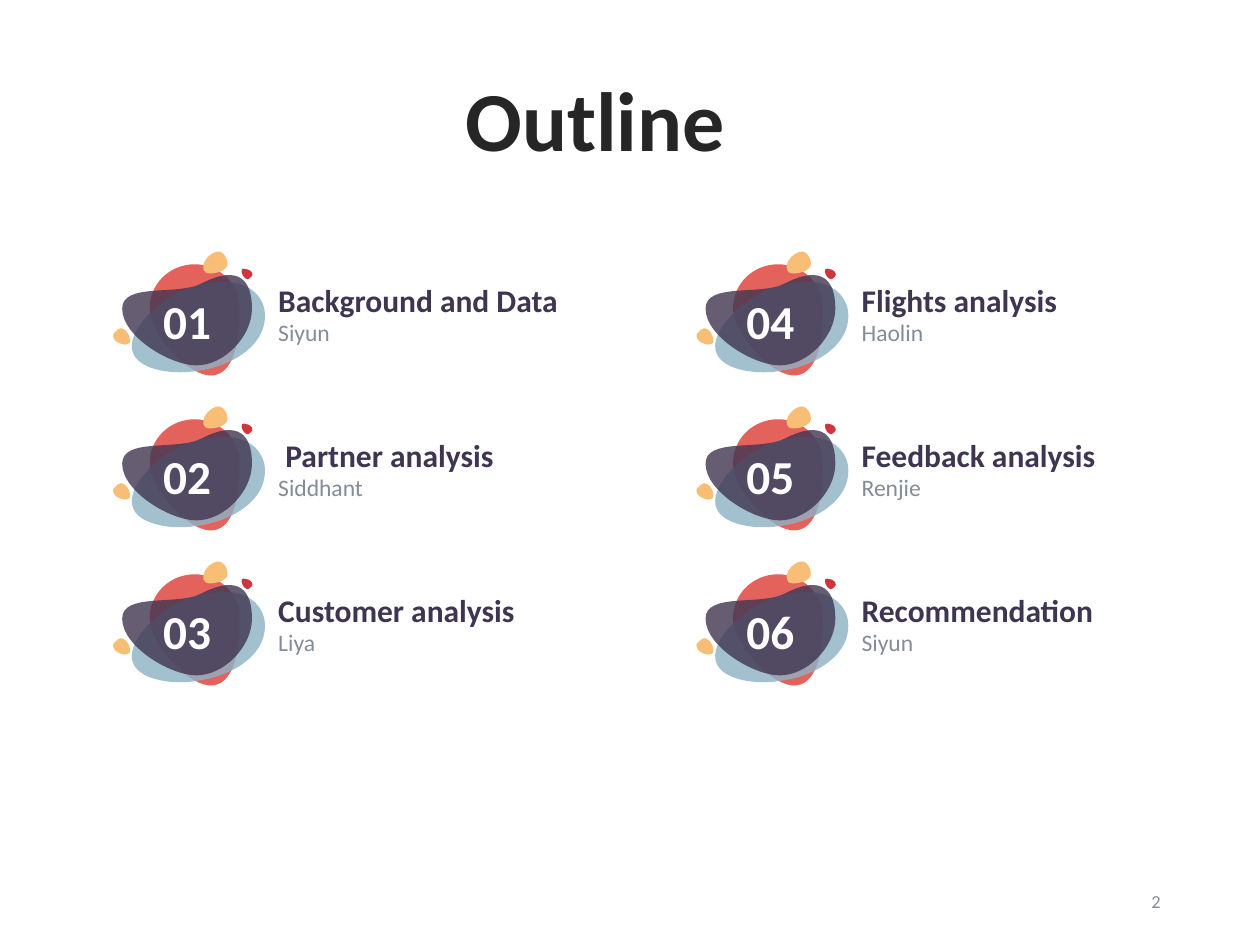
from dataclasses import dataclass

from lxml import etree
from pptx import Presentation
from pptx.dml.color import RGBColor
from pptx.enum.text import MSO_ANCHOR, MSO_AUTO_SIZE, PP_ALIGN
from pptx.oxml.ns import qn
from pptx.util import Inches, Pt

TOP, MIDDLE, BOTTOM = MSO_ANCHOR.TOP, MSO_ANCHOR.MIDDLE, MSO_ANCHOR.BOTTOM
LEFT, CENTER, RIGHT = PP_ALIGN.LEFT, PP_ALIGN.CENTER, PP_ALIGN.RIGHT
FIT_TEXT = MSO_AUTO_SIZE.SHAPE_TO_FIT_TEXT
TITLE_ONLY = 5


@dataclass(frozen=True)
class Theme:
    font: str = "Calibri"
    ink: str = "262626"
    plum: str = "403551"
    grey: str = "838C97"
    white: str = "FFFFFF"
    coral: str = "E4625C"
    blue: str = "8DB1C4"
    amber: str = "F9BE75"
    red: str = "D0343C"
    title_size: float = 48
    title_gap_size: float = 36
    badge_size: float = 27
    topic_size: float = 18
    speaker_size: float = 13.5
    page_number_size: float = 10.5


THEME = Theme()

# Agenda in reading order, down the left column and then the right
AGENDA = [
    ("Background and Data", "Siyun"),
    (" Partner analysis", "Siddhant"),
    ("Customer analysis", "Liya"),
    ("Flights analysis", "Haolin"),
    ("Feedback analysis", "Renjie"),
    ("Recommendation", "Siyun"),
]
ROWS = 3
GRID_LEFT, GRID_TOP = 0.9, 2.0
COLUMN_STEP, ROW_STEP = 4.63, 1.23
CURVE_STEPS = 16

# Badge outlines in inches from the badge corner: a start point, then
# Bezier segments of two control points and an end point
CORAL_BLOB = [(0.29, 0.48), (0.31, 0.66), (0.6, 1.0), (0.79, 0.98),
              (0.99, 0.96), (1.01, 0.59), (1.0, 0.4),
              (0.98, 0.22), (0.8, 0.08), (0.61, 0.1),
              (0.41, 0.12), (0.27, 0.29), (0.29, 0.48)]
BLUE_BLOB = [(0.16, 0.81), (0.22, 0.94), (0.48, 0.98), (0.69, 0.94),
             (0.91, 0.91), (1.24, 0.75), (1.2, 0.46),
             (1.18, 0.35), (1.06, 0.15), (0.62, 0.28),
             (0.37, 0.36), (0.08, 0.64), (0.16, 0.81)]
PLUM_BLOB = [(0.07, 0.45), (0.07, 0.67), (0.45, 0.9), (0.66, 0.9),
             (0.88, 0.9), (1.1, 0.67), (1.1, 0.45),
             (1.1, 0.24), (1.01, 0.09), (0.7, 0.25),
             (0.51, 0.35), (0.07, 0.24), (0.07, 0.45)]
TOP_DROP = [(0.73, 0.16), (0.75, 0.18), (0.85, 0.17), (0.89, 0.13),
            (0.93, 0.09), (0.89, 0.03), (0.87, 0.01),
            (0.84, -0.02), (0.79, 0), (0.75, 0.04),
            (0.71, 0.08), (0.7, 0.14), (0.73, 0.16)]
LEFT_DROP = [(0.13, 0.72), (0.14, 0.69), (0.12, 0.63), (0.08, 0.61),
             (0.05, 0.59), (0.02, 0.63), (0, 0.65),
             (-0.01, 0.67), (0.01, 0.71), (0.04, 0.72),
             (0.08, 0.74), (0.11, 0.74), (0.13, 0.72)]
RIGHT_DROP = [(1.02, 0.14), (1.01, 0.16), (1.03, 0.2), (1.05, 0.21),
              (1.07, 0.23), (1.09, 0.2), (1.1, 0.19),
              (1.11, 0.18), (1.1, 0.15), (1.07, 0.14),
              (1.05, 0.13), (1.02, 0.13), (1.02, 0.14)]


def format_span(span, size, color, bold=False):
    span.font.name = THEME.font
    span.font.size = Pt(size)
    span.font.bold = bold
    span.font.color.rgb = RGBColor.from_string(color)


def set_frame(frame, anchor, insets):
    frame.word_wrap = True
    frame.vertical_anchor = anchor
    (frame.margin_left, frame.margin_top,
     frame.margin_right, frame.margin_bottom) = map(Inches, insets)


def set_text(frame, text, size, color, align=LEFT, bold=False):
    frame.text = text
    para = frame.paragraphs[0]
    para.alignment = align
    format_span(para.runs[0], size, color, bold)


def curve_range(values):
    """Return the least and greatest value the curve takes along one axis."""
    reached = []
    for i in range(0, len(values) - 1, 3):
        a, b, c, d = values[i:i + 4]
        for step in range(CURVE_STEPS + 1):
            t = step / CURVE_STEPS
            u = 1 - t
            reached.append(a * u**3 + 3 * b * t * u**2 + 3 * c * t**2 * u + d * t**3)
    return min(reached), max(reached)


def add_blob(group, left, top, outline, color, opacity=100):
    (x_min, x_max), (y_min, y_max) = map(curve_range, zip(*outline))
    # The diagonal fixes the extents; curves then take its place
    builder = group.shapes.build_freeform(Inches(left + x_min), Inches(top + y_min))
    builder.add_line_segments([(Inches(left + x_max), Inches(top + y_max))])
    blob = builder.convert_to_shape()
    trace = blob._element.find(".//" + qn("a:path"))
    for child in list(trace):
        trace.remove(child)
    segments = [("a:moveTo", outline[:1])]
    segments += [("a:cubicBezTo", outline[i:i + 3]) for i in range(1, len(outline), 3)]
    for tag, points in segments:
        segment = etree.SubElement(trace, qn(tag))
        for x, y in points:
            etree.SubElement(segment, qn("a:pt"), x=str(int(Inches(x - x_min))),
                             y=str(int(Inches(y - y_min))))
    etree.SubElement(trace, qn("a:close"))

    blob.shadow.inherit = False
    blob.line.fill.background()
    blob.fill.solid()
    blob.fill.fore_color.rgb = RGBColor.from_string(color)
    if opacity < 100:
        fill_color = blob._element.spPr.find(qn("a:solidFill")).find(qn("a:srgbClr"))
        etree.SubElement(fill_color, qn("a:alpha"), val=str(opacity * 1000))
    return blob


def add_badge(page, left, top, number):
    group = page.shapes.add_group_shape()
    add_blob(group, left, top, CORAL_BLOB, THEME.coral)
    add_blob(group, left, top, BLUE_BLOB, THEME.blue, 80)
    plate = add_blob(group, left, top, PLUM_BLOB, THEME.plum, 80)
    set_frame(plate.text_frame, MIDDLE, (0.03, 0.03, 0.03, 0.03))
    set_text(plate.text_frame, f"{number:02}", THEME.badge_size, THEME.white,
             CENTER, bold=True)
    add_blob(group, left, top, TOP_DROP, THEME.amber)
    add_blob(group, left, top, LEFT_DROP, THEME.amber)
    add_blob(group, left, top, RIGHT_DROP, THEME.red)


def add_label(shapes, place, text, size, color, anchor, insets, **style):
    box = shapes.add_textbox(*map(Inches, place))
    set_frame(box.text_frame, anchor, insets)
    set_text(box.text_frame, text, size, color, **style)
    return box


def add_agenda_item(page, left, top, number, topic, speaker):
    add_badge(page, left, top, number)
    shapes = page.shapes.add_group_shape().shapes
    heading = add_label(shapes, (left + 1.21, top + 0.08, 2.45, 0.45), topic,
                        THEME.topic_size, THEME.plum, BOTTOM,
                        (0.1, 0.15, 0.1, 0), bold=True)
    name = add_label(shapes, (left + 1.21, top + 0.52, 2.45, 0.23), speaker,
                     THEME.speaker_size, THEME.grey, TOP, (0.1, 0, 0.1, 0))
    for box in (heading, name):
        box.text_frame.auto_size = FIT_TEXT


def add_title(page, text):
    title = page.shapes.title
    title.left, title.top, title.width, title.height = map(
        Inches, (0.47, 0.37, 8.62, 1.24))
    set_frame(title.text_frame, MIDDLE, (0.1, 0.05, 0.1, 0.05))
    set_text(title.text_frame, text, THEME.title_size, THEME.ink, CENTER, bold=True)
    para = title.text_frame.paragraphs[0]
    para.line_spacing = 0.9
    # The smaller closing space sets the title slightly left of centre
    gap = para.add_run()
    gap.text = " "
    format_span(gap, THEME.title_gap_size, THEME.red, bold=True)


def main():
    deck = Presentation()
    deck.slide_width, deck.slide_height = Inches(10), Inches(7.5)
    page = deck.slides.add_slide(deck.slide_layouts[TITLE_ONLY])
    add_title(page, "Outline")

    # Numbered agenda in two columns
    for index, (topic, speaker) in enumerate(AGENDA):
        column, row = divmod(index, ROWS)
        add_agenda_item(page, GRID_LEFT + column * COLUMN_STEP,
                        GRID_TOP + row * ROW_STEP, index + 1, topic, speaker)

    # Page number
    add_label(page.shapes, (7.06, 6.95, 2.25, 0.4), "2", THEME.page_number_size,
              THEME.grey, MIDDLE, (0.1, 0.05, 0.1, 0.05), align=RIGHT)
    deck.save("out.pptx")


if __name__ == "__main__":
    main()
